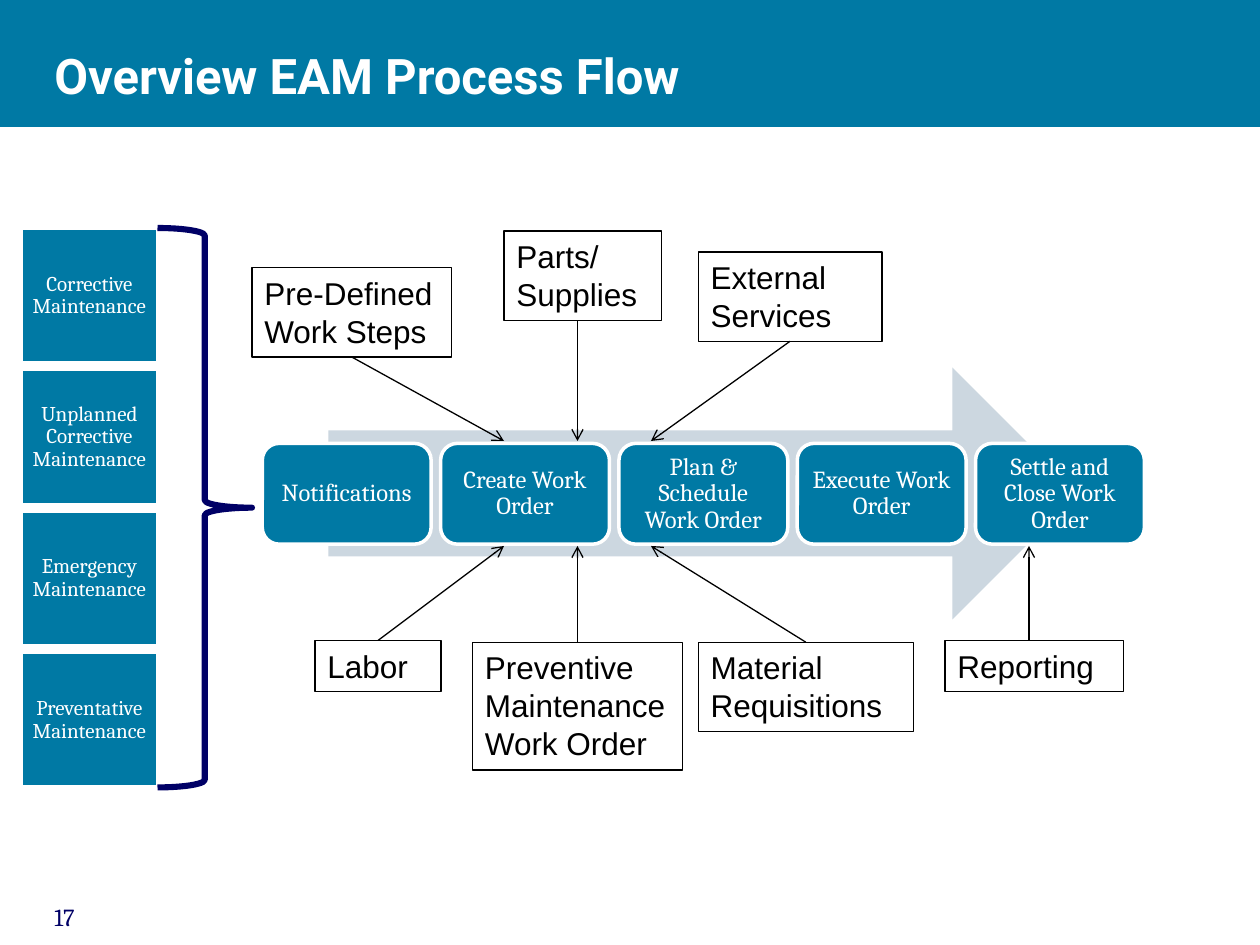
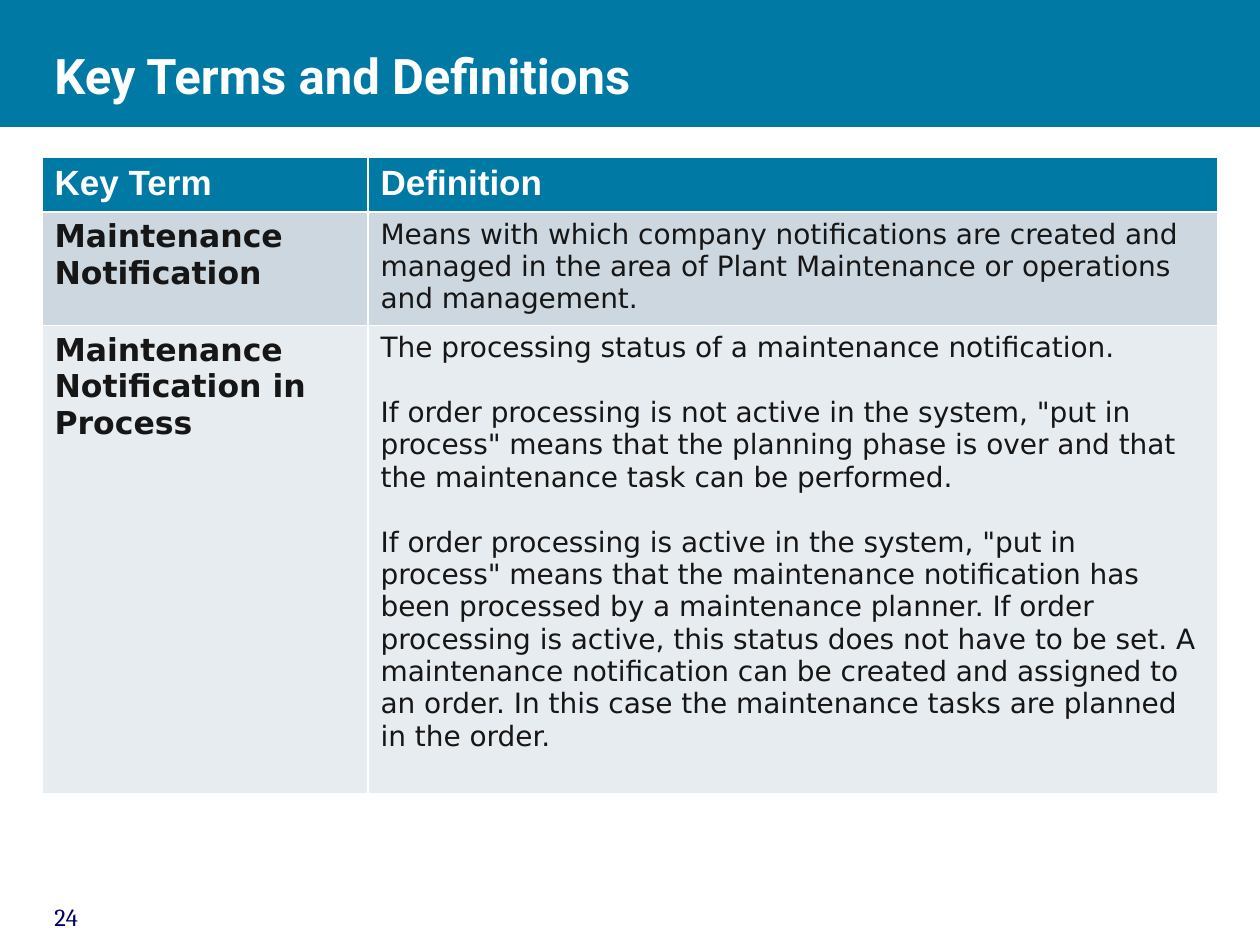
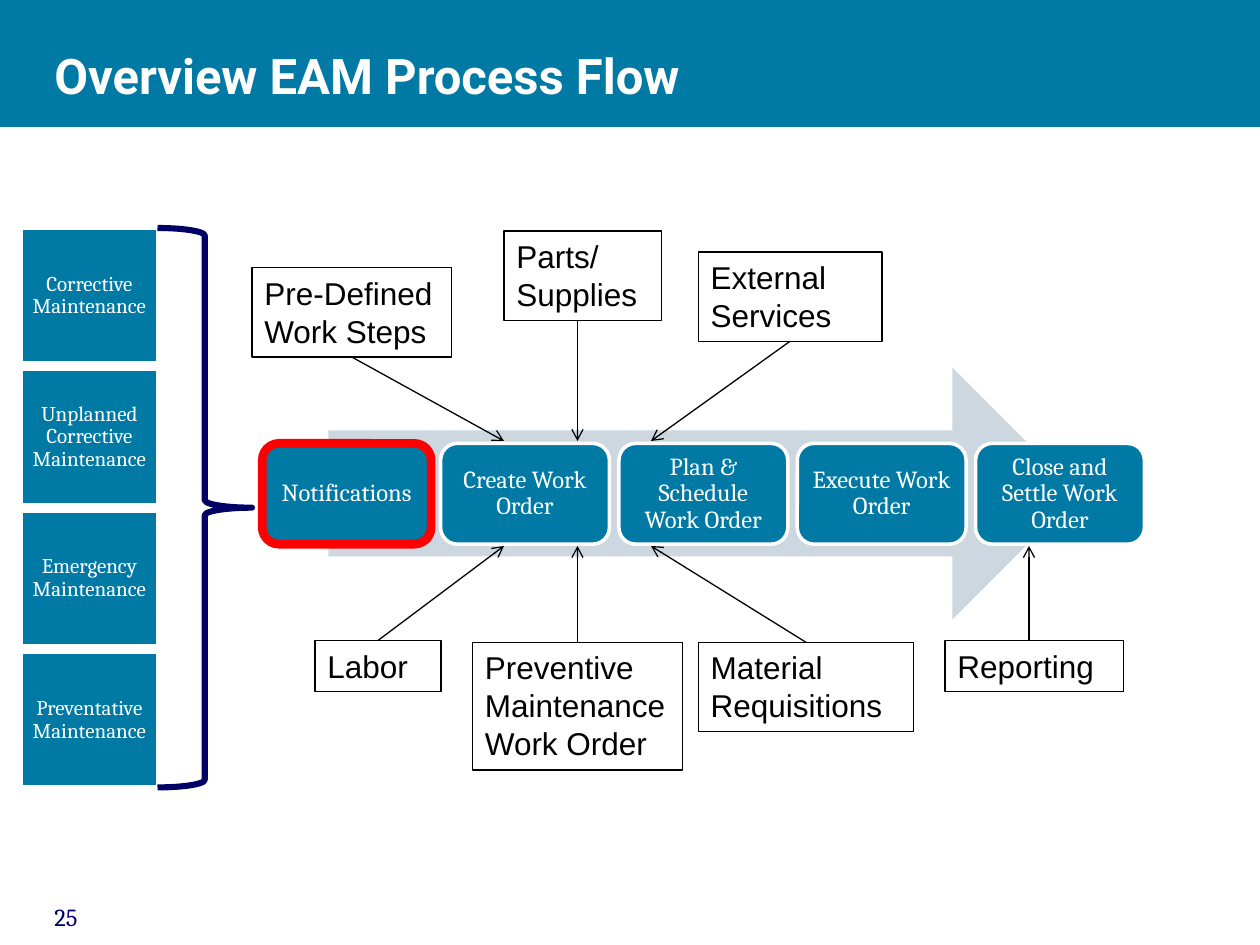
"""Builds three slides on the EAM process flow and its key terms."""
from lxml.etree import SubElement
from pptx import Presentation
from pptx.dml.color import RGBColor
from pptx.enum.shapes import MSO_CONNECTOR as Link, MSO_SHAPE as Shape
from pptx.enum.text import MSO_ANCHOR as Anchor, PP_ALIGN as Align
from pptx.oxml.ns import qn
from pptx.util import Pt

BLUE, PALE, LIGHT, NAVY = "0079A4", "CCD7E0", "E7ECF0", "000066"
WHITE, BLACK, RED, INK = "FFFFFF", "000000", "FF0000", "161616"
FLOW = "Overview EAM Process Flow"
TYPES = ["Corrective Maintenance", "Unplanned Corrective Maintenance",
         "Emergency Maintenance", "Preventative Maintenance"]
STEPS = ["Notifications", "Create Work Order", "Plan & Schedule Work Order",
         "Execute Work Order"]
UPPER, LOWER = 252, 312
# Each note: text, box, x of the arrow's start and of its tip
NOTES = [
    ("Pre-Defined Work Steps", (144, 153, 114, 51), 201, 288),
    ("Parts/ Supplies", (288, 132, 90, 51), 330, 330),
    ("External Services", (399, 144, 105, 51), 451.5, 372),
    ("Labor", (180, 366, 72, 29), 216, 288),
    ("Preventive Maintenance Work Order", (270, 367, 120, 73), 330, 330),
    ("Material Requisitions", (399, 367, 123, 51), 460.5, 372),
    ("Reporting", (540, 366, 102, 29), 588, 588),
]
TERMS = [
    ("Maintenance Notification", [
        "Means with which company notifications are created and managed in "
        "the area of Plant Maintenance or operations and management."]),
    ("Maintenance Notification in Process", [
        "The processing status of a maintenance notification.",
        'If order processing is not active in the system, "put in process" '
        "means that the planning phase is over and that the maintenance task "
        "can be performed.",
        'If order processing is active in the system, "put in process" means '
        "that the maintenance notification has been processed by a "
        "maintenance planner. If order processing is active, this status "
        "does not have to be set. A maintenance notification can be created "
        "and assigned to an order. In this case the maintenance tasks are "
        "planned in the order."]),
]


def tint(code):
    return RGBColor.from_string(code)


def write(frame, text, size=18, font="Arial", color=BLACK, bold=False,
          align=Align.LEFT, lead=1.0, gap=0):
    parts = [text] if isinstance(text, str) else text
    for i, part in enumerate(parts):
        para = frame.add_paragraph() if i else frame.paragraphs[0]
        para.alignment, para.line_spacing = align, lead
        if i:
            para.space_before = Pt(gap)
        run = para.add_run()
        run.text = part
        run.font.size, run.font.name, run.font.bold = Pt(size), font, bold
        run.font.color.rgb = tint(color)


def draw(slide, kind, box, fill=None, line=None, width=0.75):
    shape = slide.shapes.add_shape(kind, *map(Pt, box))
    shape.shadow.inherit = False
    if fill:
        shape.fill.solid()
        shape.fill.fore_color.rgb = tint(fill)
    else:
        shape.fill.background()
    if line:
        shape.line.color.rgb = tint(line)
        shape.line.width = Pt(width)
    else:
        shape.line.fill.background()
    return shape


def label(shape, text, inset=None, anchor=Anchor.TOP, **style):
    frame = shape.text_frame
    frame.word_wrap, frame.vertical_anchor = True, anchor
    if inset is not None:
        frame.margin_left = frame.margin_right = Pt(inset)
        frame.margin_top = frame.margin_bottom = Pt(inset)
    write(frame, text, **style)


def tile(slide, kind, box, text, size, inset, line=WHITE, width=2):
    shape = draw(slide, kind, box, BLUE, line, width)
    label(shape, text, inset, Anchor.MIDDLE, size=size, font="Cambria",
          color=WHITE, align=Align.CENTER, lead=0.9)


def arrow(slide, *ends):
    link = slide.shapes.add_connector(Link.STRAIGHT, *map(Pt, ends))
    link.line.color.rgb, link.line.width = tint(BLACK), Pt(0.75)
    props = link._element.spPr
    SubElement(props.find(qn("a:ln")), qn("a:tailEnd"), type="arrow")
    SubElement(props, qn("a:effectLst"))


def start(deck, title, number):
    slide = deck.slides.add_slide(deck.slide_layouts[6])
    draw(slide, Shape.RECTANGLE, (0, 0, 720, 72), BLUE, BLUE)
    head = slide.shapes.add_textbox(Pt(24), Pt(18), Pt(670), Pt(50))
    label(head, title, anchor=Anchor.MIDDLE, size=28, font="Roboto",
          color=WHITE, bold=True)
    foot = slide.shapes.add_textbox(Pt(24), Pt(512), Pt(180), Pt(24))
    label(foot, str(number), size=14, font="Cambria", color=NAVY)
    return slide


def flow(deck, number, last, mark=None):
    slide = start(deck, FLOW, number)
    draw(slide, Shape.RIGHT_ARROW, (187.7, 210, 428.5, 144), PALE)
    for i, step in enumerate(STEPS + [last]):
        edge = (RED, 5) if step == mark else (WHITE, 2)
        tile(slide, Shape.ROUNDED_RECTANGLE,
             (149.9 + i * 101.9, 253.4, 96.5, 57.6), step, 14, 4.2, *edge)
    for text, box, tail, tip in NOTES:
        label(draw(slide, Shape.RECTANGLE, box, line=BLACK), text)
        top, base = box[1], box[1] + box[3]
        ends = (base, UPPER) if base < UPPER else (top, LOWER)
        arrow(slide, tail, ends[0], tip, ends[1])
    for i, name in enumerate(TYPES):
        tile(slide, Shape.RECTANGLE, (12.2, 130.5 + i * 80.8, 77.8, 77),
             name, 12, 2.2)
    brace = draw(slide, Shape.RIGHT_BRACE, (90, 130.3, 54, 319.7),
                 line=NAVY, width=3.5)
    brace.adjustments[0], brace.adjustments[1] = 0.08, 0.5


def terms(deck, number):
    slide = start(deck, "Key Terms and Definitions", number)
    wide, high = (186.3, 485.7), (29.8, 62.6, 267.6)
    grid = slide.shapes.add_table(len(high), len(wide), Pt(24), Pt(90),
                                  Pt(sum(wide)), Pt(sum(high))).table
    for col, size in zip(grid.columns, wide):
        col.width = Pt(size)
    for row, size in zip(grid.rows, high):
        row.height = Pt(size)
    head = dict(size=20, color=WHITE, bold=True)
    term = dict(size=18, font="DejaVu Sans", color=INK, bold=True)
    body = dict(size=16, font="DejaVu Sans", color=INK, gap=18.6)
    rows = [("Key Term", "Definition")] + TERMS
    looks = [(head, head)] + [(term, body)] * len(TERMS)
    for r, (row, look, fill) in enumerate(zip(rows, looks, (BLUE, PALE, LIGHT))):
        for c, (text, style) in enumerate(zip(row, look)):
            cell = grid.cell(r, c)
            cell.fill.solid()
            cell.fill.fore_color.rgb = tint(fill)
            write(cell.text_frame, text, **style)


def main():
    deck = Presentation()
    deck.slide_width, deck.slide_height = Pt(720), Pt(540)
    flow(deck, 17, "Settle and Close Work Order")
    terms(deck, 24)
    flow(deck, 25, "Close and Settle Work Order", mark="Notifications")
    deck.save("out.pptx")


if __name__ == "__main__":
    main()
